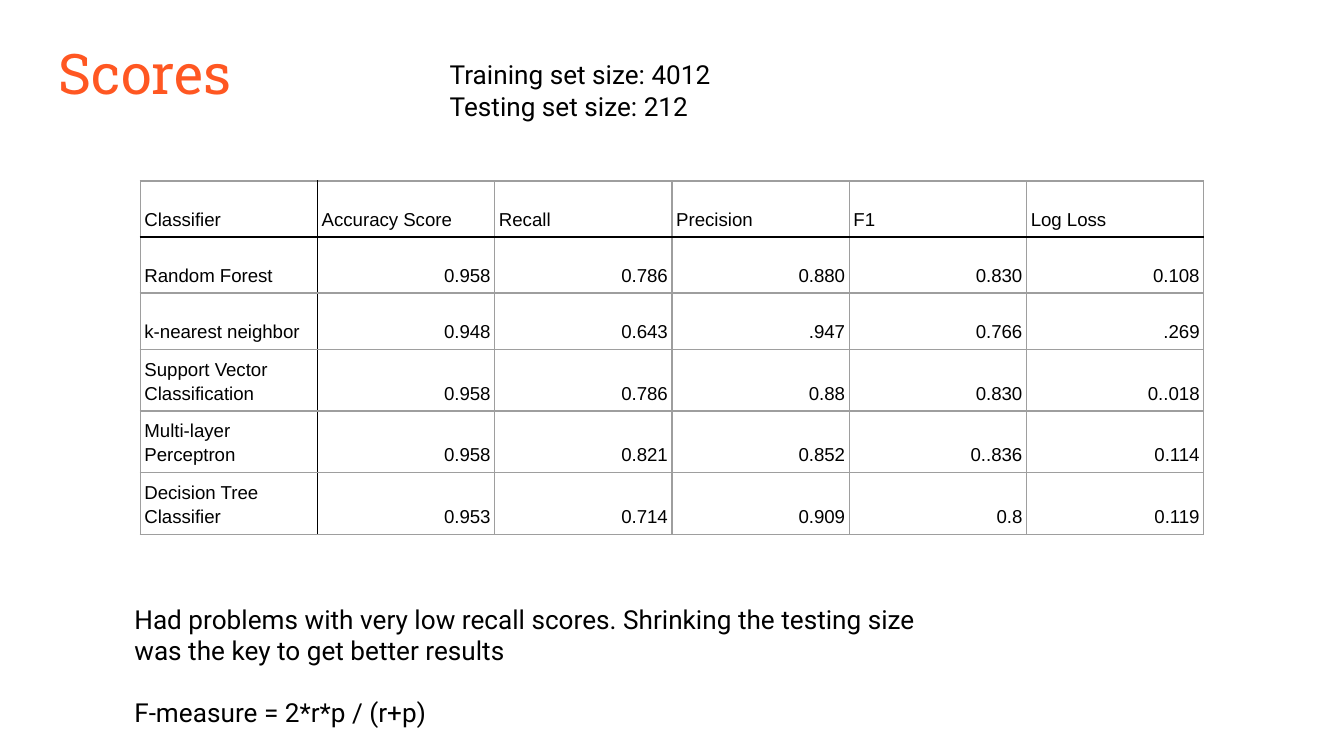
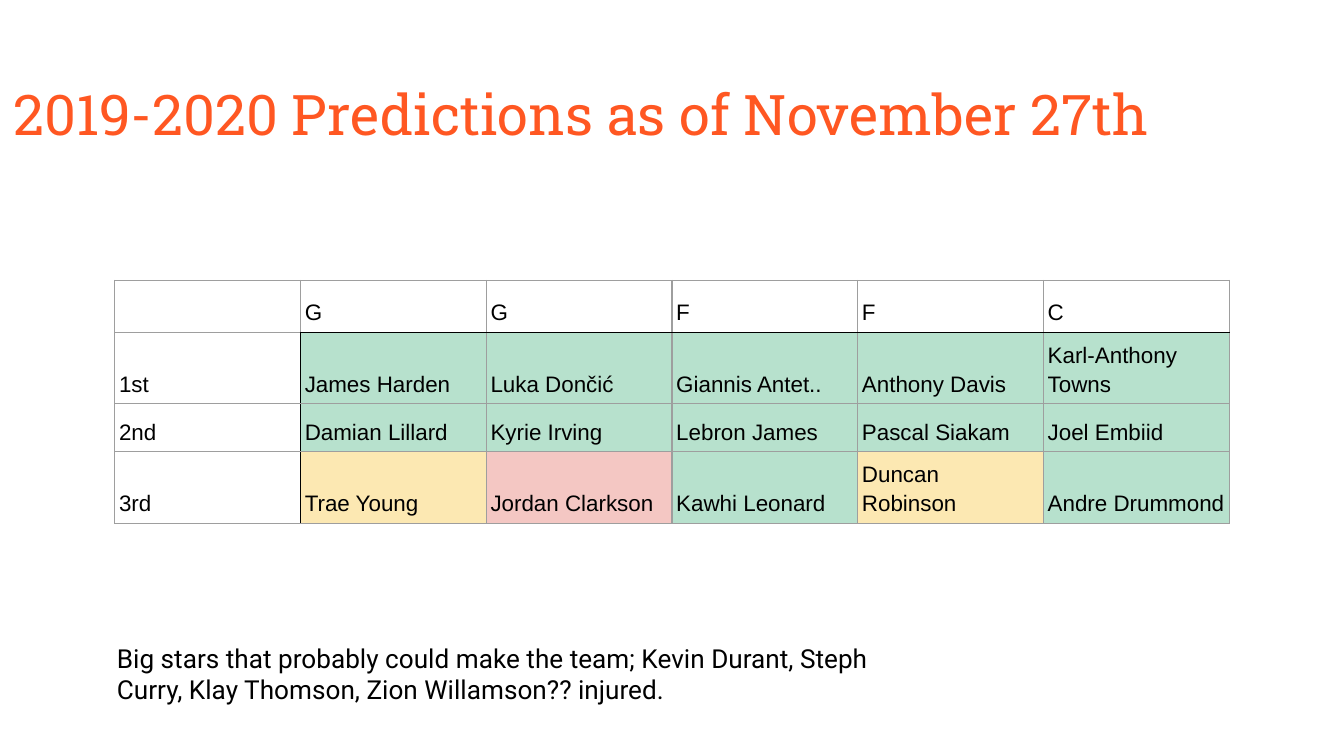
from lxml import etree
from pptx import Presentation
from pptx.dml.color import RGBColor
from pptx.enum.text import MSO_ANCHOR, MSO_AUTO_SIZE, PP_ALIGN
from pptx.oxml.ns import qn
from pptx.util import Cm, Pt

TOP, BOTTOM = MSO_ANCHOR.TOP, MSO_ANCHOR.BOTTOM
LEFT, RIGHT = PP_ALIGN.LEFT, PP_ALIGN.RIGHT
NO_FIT = MSO_AUTO_SIZE.NONE
TITLE_ONLY = 5

COLOURS = {
    "title": "FF5722",
    "text": "000000",
    "grid": "9E9E9E",
    "rule": "000000",
    "likely": "B7E1CD",
    "possible": "FCE8B2",
    "unlikely": "F4C7C3",
}
FILL_CODES = {"L": "likely", "P": "possible", "U": "unlikely"}
TITLE_FONT = {"name": "Roboto Slab", "size": Pt(30)}
NOTE_FONT = {"name": "Roboto", "size": Pt(14)}
BOX_FORMAT = {
    "word_wrap": True, "auto_size": NO_FIT, "vertical_anchor": TOP,
    "margin_left": Cm(0.25), "margin_right": Cm(0.25),
    "margin_top": Cm(0.25), "margin_bottom": Cm(0.25),
}
CELL_FORMAT = {
    "vertical_anchor": BOTTOM,
    "margin_left": Cm(0.08), "margin_right": Cm(0.08),
    "margin_top": Cm(0.13), "margin_bottom": Cm(0.13),
}

# Content: boxes are left, top, width, height in centimetres
SLIDES = [
    {
        "title": ("Scores", (0.86, 0.48, 23.67, 1.6)),
        "table": {
            "rows": [
                ("Classifier", "Accuracy Score", "Recall", "Precision", "F1", "Log Loss"),
                ("Random Forest", "0.958", "0.786", "0.880", "0.830", "0.108"),
                ("k-nearest neighbor", "0.948", "0.643", ".947", "0.766", ".269"),
                ("Support Vector Classification", "0.958", "0.786", "0.88", "0.830", "0..018"),
                ("Multi-layer Perceptron", "0.958", "0.821", "0.852", "0..836", "0.114"),
                ("Decision Tree Classifier", "0.953", "0.714", "0.909", "0.8", "0.119"),
            ],
            "fills": [],
            "corner": (2.65, 3.42),
            "column_width": 3.35,
            "row_heights": [1.06] * 6,
            "font_size": 10,
            "body_align": RIGHT,
        },
        "notes": [
            (["Training set size: 4012", "Testing set size: 212"], 0,
             (8.25, 0.86, 7.47, 1.88)),
            (["Had problems with very low recall scores. Shrinking the testing size "
              "was the key to get better results",
              "F-measure = 2*r*p / (r+p)"], 16.5,
             (2.29, 11.15, 15.4, 2.6)),
        ],
    },
    {
        "title": ("2019-2020 Predictions as of November 27th", (0, 1.25, 25.68, 1.6)),
        "table": {
            "rows": [
                ("", "G", "G", "F", "F", "C"),
                ("1st", "James Harden", "Luka Dončić", "Giannis Antet..",
                 "Anthony Davis", "Karl-Anthony Towns"),
                ("2nd", "Damian Lillard", "Kyrie Irving", "Lebron James",
                 "Pascal Siakam", "Joel Embiid"),
                ("3rd", "Trae Young", "Jordan Clarkson", "Kawhi Leonard",
                 "Duncan Robinson", "Andre Drummond"),
            ],
            "fills": ["", " LLLLL", " LLLLL", " PULPL"],
            "corner": (2.17, 5.3),
            "column_width": 3.51,
            "row_heights": [0.98, 1.2, 0.91, 1.2],
            "font_size": 12,
            "body_align": LEFT,
        },
        "notes": [
            (["Big stars that probably could make the team; Kevin Durant, "
              "Steph Curry, Klay Thomson, Zion Willamson?? injured."], 0,
             (1.96, 11.89, 15.65, 1.6)),
        ],
    },
]


def colour(name):
    return RGBColor.from_string(COLOURS[name])


def apply(target, values):
    for name, value in values.items():
        setattr(target, name, value)


def write(frame, lines, font, colour_name, gap=0):
    """Write one left-aligned paragraph per line, with a gap between them."""
    apply(frame, BOX_FORMAT)
    for index, line in enumerate(lines):
        paragraph = frame.paragraphs[0] if index == 0 else frame.add_paragraph()
        paragraph.text = line
        paragraph.alignment = LEFT
        paragraph.space_before = Pt(gap if index else 0)
        apply(paragraph.font, font)
        paragraph.font.color.rgb = colour(colour_name)


def add_title(slide, text, box):
    title = slide.shapes.title
    apply(title, dict(zip(("left", "top", "width", "height"), map(Cm, box))))
    write(title.text_frame, [text], TITLE_FONT, "title")


def add_note(slide, lines, gap, box):
    note = slide.shapes.add_textbox(*map(Cm, box))
    write(note.text_frame, lines, NOTE_FONT, "text", gap)


def set_borders(cell, dark_sides):
    properties = cell._tc.get_or_add_tcPr()
    for side in "LRTB":
        line = etree.SubElement(properties, qn(f"a:ln{side}"), w=str(Pt(0.75)))
        fill = etree.SubElement(line, qn("a:solidFill"))
        shade = COLOURS["rule" if side in dark_sides else "grid"]
        etree.SubElement(fill, qn("a:srgbClr"), val=shade)


def dark_sides(row, column, has_corner):
    """Dark lines run under the header row and beside the first column."""
    sides = ""
    if row > 0 or has_corner:
        sides += {0: "R", 1: "L"}.get(column, "")
    if column > 0 or has_corner:
        sides += {0: "B", 1: "T"}.get(row, "")
    return sides


def add_grid(slide, data):
    rows, heights = data["rows"], data["row_heights"]
    column_count = len(rows[0])
    table = slide.shapes.add_table(
        len(rows), column_count, *map(Cm, data["corner"]),
        Cm(data["column_width"] * column_count), Cm(sum(heights))).table
    apply(table, {"first_row": False, "horz_banding": False})
    for column in table.columns:
        column.width = Cm(data["column_width"])
    for row, height in zip(table.rows, heights):
        row.height = Cm(height)

    has_corner = bool(rows[0][0])
    for row_index, row in enumerate(rows):
        for column_index, text in enumerate(row):
            cell = table.cell(row_index, column_index)
            apply(cell, CELL_FORMAT)
            paragraph = cell.text_frame.paragraphs[0]
            paragraph.text = text
            paragraph.line_spacing = 1.15
            in_body = row_index > 0 and column_index > 0
            paragraph.alignment = data["body_align"] if in_body else LEFT
            apply(paragraph.font, {"name": "Arial", "size": Pt(data["font_size"])})
            paragraph.font.color.rgb = colour("text")
            # Borders come before the fill in the cell properties
            set_borders(cell, dark_sides(row_index, column_index, has_corner))
            if data["fills"] and in_body:
                cell.fill.solid()
                code = data["fills"][row_index][column_index]
                cell.fill.fore_color.rgb = colour(FILL_CODES[code])
            else:
                cell.fill.background()


def main():
    presentation = Presentation()
    presentation.slide_width, presentation.slide_height = Cm(25.4), Cm(14.29)
    for content in SLIDES:
        slide = presentation.slides.add_slide(presentation.slide_layouts[TITLE_ONLY])
        add_title(slide, *content["title"])
        add_grid(slide, content["table"])
        for note in content["notes"]:
            add_note(slide, *note)
    presentation.save("out.pptx")


if __name__ == "__main__":
    main()
